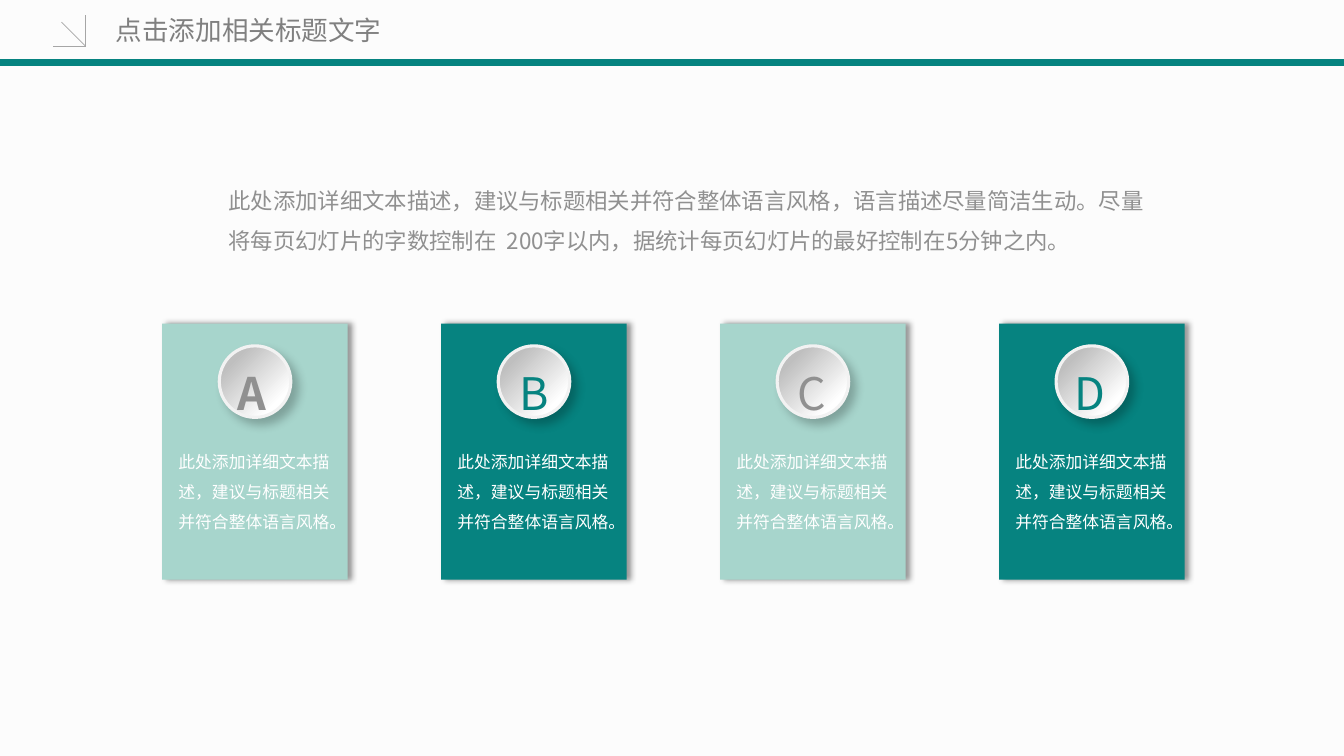
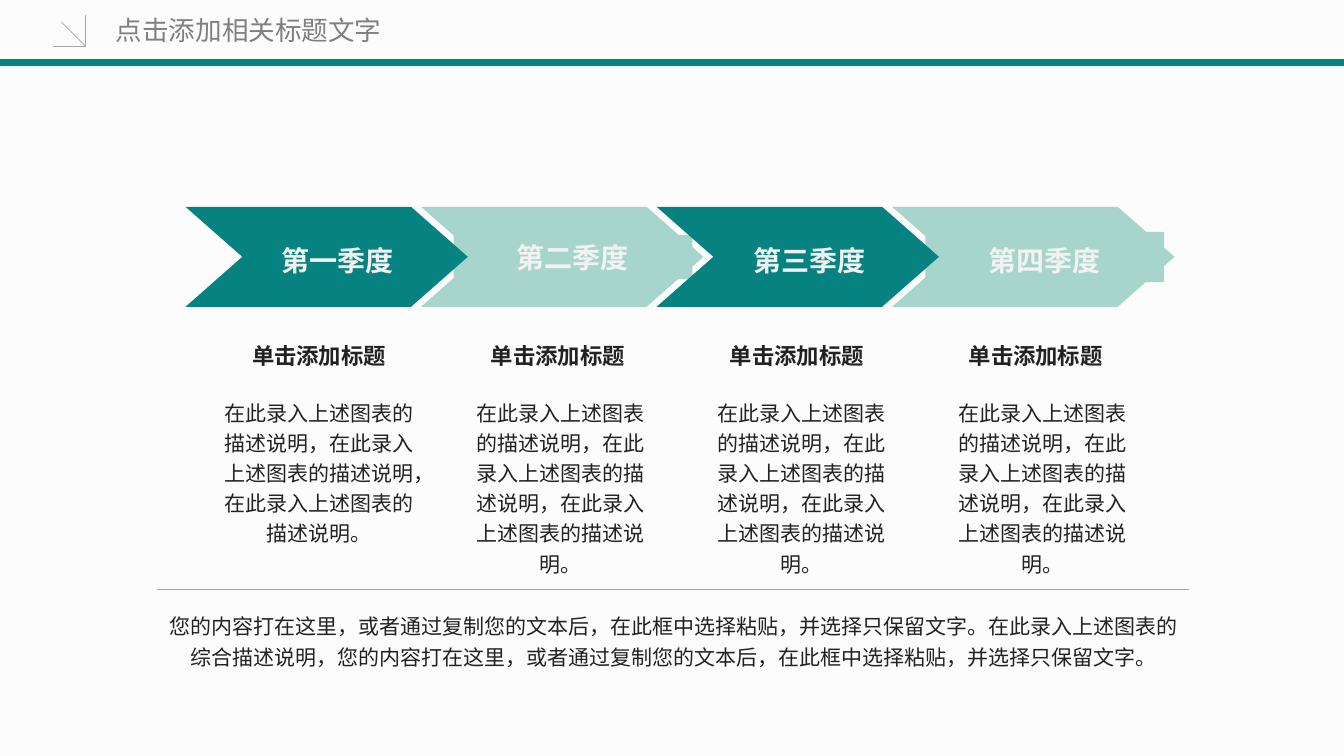
"""Builds two slides: lettered cards and a four-quarter chevron process."""
import pptx
import pptx.util
import pptx.dml.color
import pptx.enum.dml
import pptx.enum.lang
import pptx.enum.shapes
import pptx.enum.text
import pptx.oxml
import pptx.oxml.ns
import lxml.etree

Pt = pptx.util.Pt
ALIGN = pptx.enum.text.PP_ALIGN
ANCHOR = pptx.enum.text.MSO_ANCHOR
FIT = pptx.enum.text.MSO_AUTO_SIZE
SHAPE = pptx.enum.shapes.MSO_SHAPE
qn = pptx.oxml.ns.qn

FONT = "Noto Sans CJK SC"
TEAL, MINT, BACKGROUND = "068380", "A7D5CC", "FCFCFC"
GREY, TITLE_GREY, LINE_GREY = "909090", "808080", "A6A6A6"
INK, PALE, WHITE = "222222", "F2F2F2", "FFFFFF"

PAGE_SIZE = (960, 540)
TITLE = "点击添加相关标题文字"
TITLE_BOX = (75.6, 5.8, 220.3, 31.7)
BAND_Y = 44.6
ARROW_TIP = (61.2, 33.1)
ARROW_ENDS = [(38.2, 33.1), (61.2, 10.8), (43.9, 15.8)]

INTRO = ("此处添加详细文本描述，建议与标题相关并符合整体语言风格，语言描述尽量简洁生动。"
         "尽量将每页幻灯片的字数控制在  200字以内，据统计每页幻灯片的最好控制在5分钟之内。")
INTRO_BOX = (156.2, 120.2, 679, 62)
CARD_TEXT = "此处添加详细文本描述，建议与标题相关并符合整体语言风格。"
CARDS = [("A", 39, MINT, GREY, True), ("B", 34.6, TEAL, TEAL, False),
         ("C", 36, MINT, GREY, False), ("D", 39, TEAL, TEAL, False)]
CARD_LEFT, CARD_STEP, CARD_TOP, CARD_WIDTH, CARD_HEIGHT = 115.9, 199.25, 231.1, 132.5, 182.9
DISC_TOP, DISC_SIZE = 247, 51.1

QUARTERS = [(1, "第二季度", (324, 167.8, 170.6, 31.7), 1),
            (0, "第一季度", (153.4, 165.6, 175, 36), 1.2),
            (3, "第四季度", (661, 165.6, 170.6, 36), 1.2),
            (2, "第三季度", (493.9, 165.6, 168.5, 36), 1.2)]
CHEVRON_LEFT, CHEVRON_STEP, CHEVRON_TOP = 132.5, 168.25, 147.7
CHEVRON_WIDTH, CHEVRON_HEIGHT, CHEVRON_NOTCH = 201.7, 71.5, 40.6

COLUMN_TITLE = "单击添加标题"
COLUMN_TEXT = "在此录入上述图表的描述说明，" * 2 + "在此录入上述图表的描述说明。"
COLUMNS = [(152.6, 150.5), (326.9, 147.6), (498.2, 149), (671, 147.6)]
HEADING_LEFT, HEADING_STEP = 172.1, 170.64
SUMMARY = ("您的内容打在这里，或者通过复制您的文本后，在此框中选择粘贴，并选择只保留文字。"
           "在此录入上述图表的综合描述说明，您的内容打在这里，或者通过复制您的文本后，"
           "在此框中选择粘贴，并选择只保留文字。")
SUMMARY_BOX = (111.6, 431.3, 738.7, 51.1)
RULE = ((112.3, 421.2), (849.6, 421.2))


def color(value):
    return pptx.dml.color.RGBColor.from_string(value)


def points(values):
    return [Pt(value) for value in values]


def write(box, text, size, ink, align=ALIGN.LEFT, spacing=1, bold=False,
          anchor=ANCHOR.TOP, fit=FIT.SHAPE_TO_FIT_TEXT, wrap=True, face=FONT):
    frame = box.text_frame
    frame.word_wrap = wrap
    frame.auto_size = fit
    frame.vertical_anchor = anchor
    para = frame.paragraphs[0]
    para.alignment = align
    para.line_spacing = spacing
    span = para.add_run()
    span.text = text
    span.font.size = Pt(size)
    span.font.bold = bold
    span.font.name = face
    span.font.language_id = pptx.enum.lang.MSO_LANGUAGE_ID.SIMPLIFIED_CHINESE
    span.font.color.rgb = color(ink)
    properties = span.font._element if hasattr(span.font, "_element") else span._r.get_or_add_rPr()
    lxml.etree.SubElement(properties, qn("a:ea")).set("typeface", face)


def add_text(shapes, place, text, size, ink, **style):
    write(shapes.add_textbox(*points(place)), text, size, ink, **style)


def add_filled(shapes, kind, place, fill):
    shape = shapes.add_shape(kind, *points(place))
    shape.shadow.inherit = False
    shape.fill.solid()
    shape.fill.fore_color.rgb = color(fill)
    shape.line.fill.background()
    return shape


def add_line(shapes, start, end, ink, width):
    line = shapes.add_connector(pptx.enum.shapes.MSO_CONNECTOR.STRAIGHT, *points(start + end))
    line.line.color.rgb = color(ink)
    line.line.width = Pt(width)
    lxml.etree.SubElement(line._element.spPr, qn("a:effectLst"))


def cast_shadow(shape, alpha, blur, distance, angle):
    effects = shape._element.spPr.find(qn("a:effectLst"))
    outer = lxml.etree.SubElement(effects, qn("a:outerShdw"), blurRad=str(Pt(blur)),
                                  dist=str(Pt(distance)), dir=str(angle * 60000),
                                  algn="tl", rotWithShape="0")
    black = lxml.etree.SubElement(outer, qn("a:srgbClr"), val="000000")
    lxml.etree.SubElement(black, qn("a:alpha"), val=str(alpha * 1000))


def add_page(deck):
    page = deck.slides.add_slide(deck.slide_layouts.get_by_name("Title Only"))
    title = page.shapes.title
    title.left, title.top, title.width, title.height = points(TITLE_BOX)
    write(title, TITLE, 19, TITLE_GREY, anchor=ANCHOR.MIDDLE, fit=FIT.NONE)
    add_line(page.shapes, (0, BAND_Y), (PAGE_SIZE[0], BAND_Y), TEAL, 4.5)
    arrow = page.shapes.add_group_shape().shapes
    for end in ARROW_ENDS:
        add_line(arrow, ARROW_TIP, end, LINE_GREY, 0.5)
    return page


def add_card(page, index, letter, letter_width, fill, ink, bold):
    left = CARD_LEFT + index * CARD_STEP
    center = left + CARD_WIDTH / 2
    shapes = page.shapes.add_group_shape().shapes
    card = add_filled(shapes, SHAPE.RECTANGLE, (left, CARD_TOP, CARD_WIDTH, CARD_HEIGHT), fill)
    cast_shadow(card, 40, 4, 3, 0)
    disc = add_filled(shapes, SHAPE.OVAL,
                      (center - DISC_SIZE / 2, DISC_TOP, DISC_SIZE, DISC_SIZE), WHITE)
    disc.fill.gradient()
    disc.fill.gradient_angle = 315
    for stop, (position, tone) in zip(disc.fill.gradient_stops, [(0.2, "BFBFBF"), (0.8, WHITE)]):
        stop.position = position
        stop.color.rgb = color(tone)
    disc.line.color.rgb = color(PALE)
    disc.line.width = Pt(2.25)
    cast_shadow(disc, 23, 7, 5.9, 45)
    add_text(shapes, (center - letter_width / 2, 238.3, letter_width, 58.3), letter, 32, ink,
             align=ALIGN.JUSTIFY, spacing=1.5, bold=bold, wrap=False)
    add_text(shapes, (left + 4.5, 311.8, 122.5, 72.7), CARD_TEXT, 12, WHITE, spacing=1.5)


def add_quarter(page, index, name, label_box, spacing):
    fill = MINT if index % 2 else TEAL
    shapes = page.shapes.add_group_shape().shapes
    chevron = add_filled(shapes, SHAPE.CHEVRON,
                         (CHEVRON_LEFT + index * CHEVRON_STEP, CHEVRON_TOP,
                          CHEVRON_WIDTH, CHEVRON_HEIGHT), fill)
    chevron.adjustments[0] = CHEVRON_NOTCH / CHEVRON_HEIGHT
    if fill == MINT:
        label = add_filled(shapes, SHAPE.RECTANGLE, label_box, fill)
    else:
        label = shapes.add_textbox(*points(label_box))
    write(label, name, 20, PALE, align=ALIGN.CENTER, spacing=spacing, bold=True,
          anchor=ANCHOR.MIDDLE, face="Arial")


def build_cards(deck):
    page = add_page(deck)
    add_text(page.shapes, INTRO_BOX, INTRO, 16, GREY, spacing=1.5, fit=FIT.NONE)
    for index, card in enumerate(CARDS):
        add_card(page, index, *card)


def build_quarters(deck):
    page = add_page(deck)
    for quarter in QUARTERS:
        add_quarter(page, *quarter)
    for index, (left, width) in enumerate(COLUMNS):
        add_text(page.shapes, (HEADING_LEFT + index * HEADING_STEP, 241.2, 111.6, 26.6),
                 COLUMN_TITLE, 16, INK, align=ALIGN.CENTER, bold=True, wrap=False)
        add_text(page.shapes, (left, 278.6, width, 138.2), COLUMN_TEXT, 15, INK,
                 align=ALIGN.CENTER, spacing=1.2)
    add_text(page.shapes, SUMMARY_BOX, SUMMARY, 15, INK, align=ALIGN.CENTER, spacing=1.2)
    add_line(page.shapes, *RULE, LINE_GREY, 0.5)


def main():
    deck = pptx.Presentation()
    deck.slide_width, deck.slide_height = points(PAGE_SIZE)
    backdrop = deck.slide_master.background.fill
    backdrop.solid()
    backdrop.fore_color.rgb = color(BACKGROUND)
    build_cards(deck)
    build_quarters(deck)
    deck.save("out.pptx")


if __name__ == "__main__":
    main()
